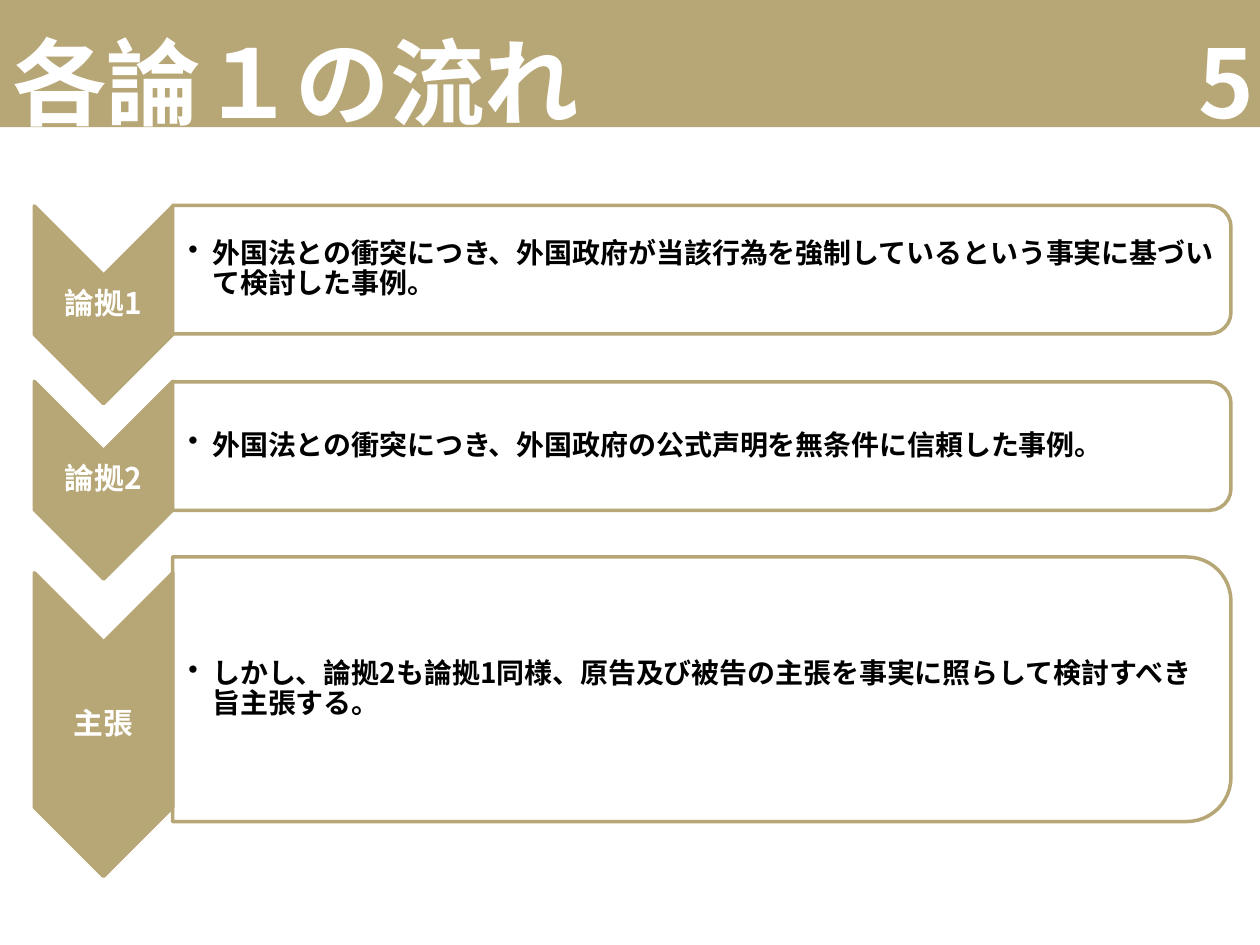
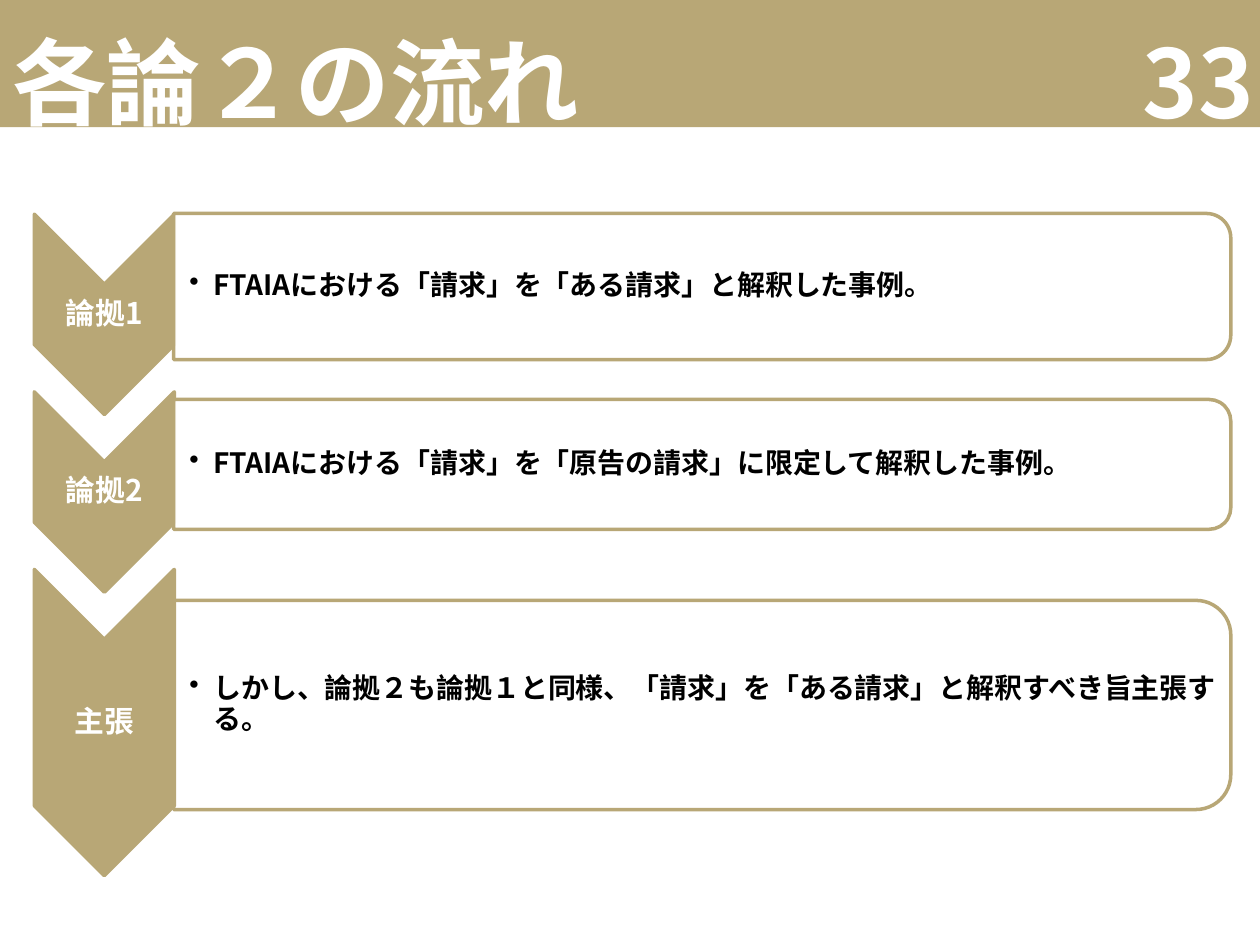
from lxml import etree
from pptx import Presentation
from pptx.dml.color import RGBColor
from pptx.enum.shapes import MSO_SHAPE as Preset
from pptx.enum.text import MSO_ANCHOR as Anchor, PP_ALIGN as Align
from pptx.oxml.ns import qn
from pptx.util import Pt

COLORS = {"gold": "B8A776", "white": "FFFFFF", "black": "000000"}
HEADING_FONT = "Karla"
BODY_FONT = "Noto Sans CJK JP"
SLIDE_WIDTH, SLIDE_HEIGHT = 720, 540
BAND_HEIGHT = 72.7
INDENT = 13.7
STEP_SPACING = 0.9
CORNER_INSET = 0.049  # share of a panel's height kept clear of its corners

FORMATS = {
    "title": {"name": HEADING_FONT, "size": Pt(54), "bold": True},
    "number": {"name": BODY_FONT, "size": Pt(54), "bold": True},
    "label": {"name": BODY_FONT, "size": Pt(17), "bold": True},
    "body": {"name": BODY_FONT, "size": Pt(16), "bold": True},
}
DEFAULT_MARGINS = (7.2, 3.6, 7.2, 3.6)
LABEL_MARGINS = (0.9, 0.9, 0.9, 0.9)
BODY_MARGINS = (9, 0.9, 0.9, 0.9)

# Each step: label, text, chevron (top, height), panel (top, height)
SLIDES = [
    {"title": "各論１の流れ", "number": "5",
     "chevron": (19.6, 79.2), "panel": (98.6, 604.8),
     "steps": [
         ("論拠1", "外国法との衝突につき、外国政府が当該行為を強制しているという事実に基づいて検討した事例。",
          (117.7, 113), (117.4, 73.4)),
         ("論拠2", "外国法との衝突につき、外国政府の公式声明を無条件に信頼した事例。",
          (217.9, 113), (218.2, 73.4)),
         ("主張", "しかし、論拠2も論拠1同様、原告及び被告の主張を事実に照らして検討すべき旨主張する。",
          (327.3, 173.5), (318.3, 151.2)),
     ]},
    {"title": "各論２の流れ", "number": "33",
     "chevron": (19.6, 80), "panel": (99.2, 604.1),
     "steps": [
         ("論拠1", "FTAIAにおける「請求」を「ある請求」と解釈した事例。",
          (122.4, 114.5), (122, 83.5)),
         ("論拠2", "FTAIAにおける「請求」を「原告の請求」に限定して解釈した事例。",
          (223.9, 114.5), (228.3, 74.2)),
         ("主張", "しかし、論拠２も論拠１と同様、「請求」を「ある請求」と解釈すべき旨主張する。",
          (325.4, 175), (343.1, 119.5)),
     ]},
]


def rgb(name):
    return RGBColor.from_string(COLORS[name])


def add_text(slide, box, text, style, color, align=Align.LEFT,
             margins=DEFAULT_MARGINS, spacing=1.0, bullet=False):
    shape = slide.shapes.add_textbox(*map(Pt, box))
    frame = shape.text_frame
    frame.word_wrap = True
    frame.vertical_anchor = Anchor.MIDDLE
    for side, margin in zip(("left", "top", "right", "bottom"), margins):
        setattr(frame, f"margin_{side}", Pt(margin))
    paragraph = frame.paragraphs[0]
    paragraph.alignment = align
    paragraph.line_spacing = spacing
    if bullet:
        properties = paragraph._p.get_or_add_pPr()
        properties.set("marL", str(Pt(INDENT)))
        properties.set("indent", str(-Pt(INDENT)))
        etree.SubElement(properties, qn("a:buChar"), char="•")
    run = paragraph.add_run()
    run.text = text
    for key, value in FORMATS[style].items():
        setattr(run.font, key, value)
    run.font.color.rgb = rgb(color)
    etree.SubElement(run._r.get_or_add_rPr(), qn("a:ea"), typeface=BODY_FONT)


def add_turned_shape(slide, preset, box):
    """Add a gold-lined shape turned 90° so that it fills the box as seen."""
    left, top, width, height = box
    shift = (width - height) / 2
    shape = slide.shapes.add_shape(
        preset, *map(Pt, (left + shift, top - shift, height, width)))
    shape.rotation = 90
    shape.shadow.inherit = False
    shape.line.color.rgb = rgb("gold")
    shape.line.width = Pt(2)
    return shape


def add_header(slide, title, number):
    band = slide.shapes.add_shape(
        Preset.RECTANGLE, 0, 0, Pt(SLIDE_WIDTH), Pt(BAND_HEIGHT))
    band.shadow.inherit = False
    band.fill.solid()
    band.fill.fore_color.rgb = rgb("gold")
    band.line.fill.background()
    add_text(slide, (0, 1.4, 796, 89), title, "title", "white")
    add_text(slide, (556, 31.7, 167.8, 28.8), number, "number", "white", Align.RIGHT)


def add_chevron(slide, box, label):
    left, top, width, height = box
    chevron = add_turned_shape(slide, Preset.CHEVRON, box)
    chevron.fill.solid()
    chevron.fill.fore_color.rgb = rgb("gold")
    # The label sits between the notch and the tip
    add_text(slide, (left, top + width / 2, width, height - width), label,
             "label", "white", Align.CENTER, LABEL_MARGINS, STEP_SPACING)


def add_panel(slide, box, text, filled):
    left, top, width, height = box
    panel = add_turned_shape(slide, Preset.ROUND_2_SAME_RECTANGLE, box)
    if filled:
        panel.fill.solid()
        panel.fill.fore_color.rgb = rgb("white")
        color = panel._element.spPr.find(qn("a:solidFill"))[0]
        etree.SubElement(color, qn("a:alpha"), val="90000")
    else:
        panel.fill.background()
    inset = height * CORNER_INSET
    add_text(slide, (left, top + inset, width - inset, height - 2 * inset), text,
             "body", "black", Align.LEFT, BODY_MARGINS, STEP_SPACING, bullet=True)


def add_flow_slide(presentation, content):
    slide = presentation.slides.add_slide(presentation.slide_layouts[6])
    add_header(slide, content["title"], content["number"])
    chevron_left, chevron_width = content["chevron"]
    panel_left, panel_width = content["panel"]
    last = len(content["steps"]) - 1
    for index, (label, text, chevron, panel) in enumerate(content["steps"]):
        add_chevron(slide, (chevron_left, chevron[0], chevron_width, chevron[1]), label)
        add_panel(slide, (panel_left, panel[0], panel_width, panel[1]), text, index < last)


def main():
    presentation = Presentation()
    presentation.slide_width = Pt(SLIDE_WIDTH)
    presentation.slide_height = Pt(SLIDE_HEIGHT)
    for content in SLIDES:
        add_flow_slide(presentation, content)
    presentation.save("out.pptx")


if __name__ == "__main__":
    main()
